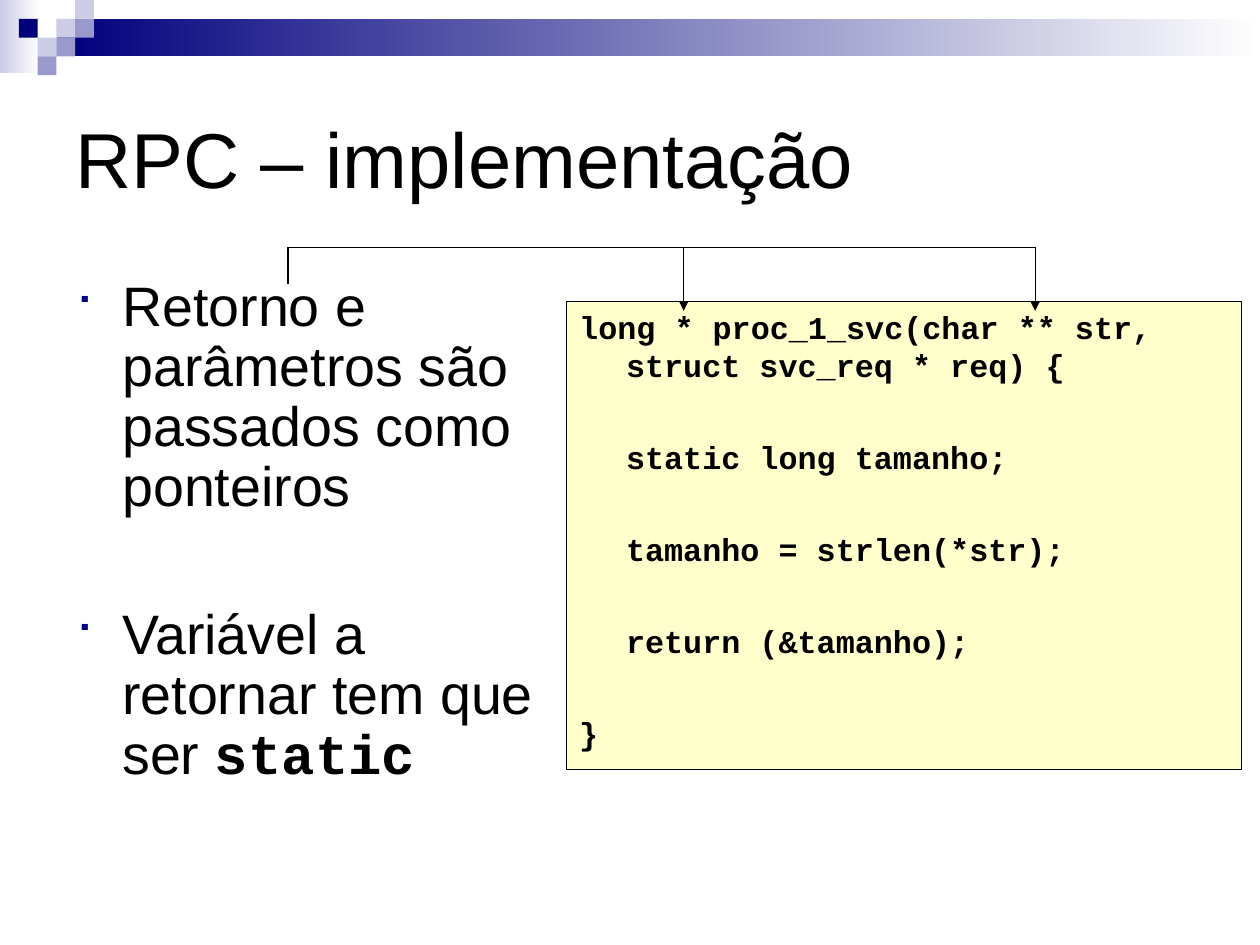
from dataclasses import dataclass
from typing import Any

from lxml.etree import SubElement
from pptx import Presentation
from pptx.dml.color import RGBColor
from pptx.enum.shapes import MSO_CONNECTOR, MSO_SHAPE
from pptx.enum.text import MSO_ANCHOR, PP_ALIGN
from pptx.oxml.ns import qn
from pptx.util import Pt

BLACK, NAVY, LILAC, VIOLET, WHITE = "000000", "00007D", "CCCCE6", "9999CC", "FFFFFF"
CELL = 11.85  # side of a corner square


@dataclass
class Span:
    text: str
    font: str = "Arial"
    bold: bool = False


@dataclass
class Para:
    spans: list[Span]
    before: float = 0
    margin: float = 0
    indent: float = 0
    bullet: bool = False


@dataclass
class Square:
    column: int
    row: int
    color: str


@dataclass
class Line:
    start: tuple[float, float]
    end: tuple[float, float]
    arrow: bool = False


def rgb(color: str) -> RGBColor:
    return RGBColor.from_string(color)


def apply(target: Any, formats: dict[str, Any]) -> None:
    for name, value in formats.items():
        setattr(target, name, value)


def add_box(page: Any, left: float, top: float, width: float, height: float) -> Any:
    box = page.shapes.add_shape(MSO_SHAPE.RECTANGLE, Pt(left), Pt(top), Pt(width), Pt(height))
    box.shadow.inherit = False
    box.line.fill.background()
    return box


def fill_solid(box: Any, color: str) -> None:
    box.fill.solid()
    box.fill.fore_color.rgb = rgb(color)


def fill_fade(box: Any, color: str) -> None:
    """Fade from the colour at the left to white at the right."""
    box.fill.gradient()
    box.fill.gradient_angle = 180
    for stop, stop_color in zip(box.fill.gradient_stops, (WHITE, color)):
        stop.color.rgb = rgb(stop_color)


def add_bullet(properties: Any) -> None:
    color = SubElement(properties, qn("a:buClr"))
    SubElement(color, qn("a:srgbClr"), val=NAVY)
    SubElement(properties, qn("a:buSzPct"), val="75000")
    SubElement(properties, qn("a:buFont"), typeface="Wingdings", charset="2")
    SubElement(properties, qn("a:buChar"), char="■")


def write(box: Any, paras: list[Para], size: float, spacing: Any,
          anchor: Any = MSO_ANCHOR.TOP, inset: float = 4.3) -> None:
    frame = box.text_frame
    apply(frame, {"word_wrap": True, "vertical_anchor": anchor,
                  "margin_left": Pt(7.9), "margin_right": Pt(7.9),
                  "margin_top": Pt(inset), "margin_bottom": Pt(4.3)})
    for index, item in enumerate(paras):
        para = frame.add_paragraph() if index else frame.paragraphs[0]
        apply(para, {"alignment": PP_ALIGN.LEFT, "line_spacing": spacing,
                     "space_before": Pt(item.before)})
        properties = para._p.get_or_add_pPr()
        properties.set("marL", str(Pt(item.margin)))
        properties.set("indent", str(Pt(item.indent)))
        if item.bullet:
            add_bullet(properties)
        for part in item.spans:
            span = para.add_run()
            span.text = part.text
            apply(span.font, {"size": Pt(size), "name": part.font, "bold": part.bold})
            span.font.color.rgb = rgb(BLACK)


def add_line(page: Any, item: Line) -> None:
    points = [Pt(value) for value in (*item.start, *item.end)]
    line = page.shapes.add_connector(MSO_CONNECTOR.STRAIGHT, *points)
    line.line.width = Pt(0.75)
    line.line.color.rgb = rgb(BLACK)
    if item.arrow:
        SubElement(line.line._get_or_add_ln(), qn("a:tailEnd"), type="triangle")
    SubElement(line._element.spPr, qn("a:effectLst"))


def main() -> None:
    deck = Presentation()
    apply(deck, {"slide_width": Pt(793.75), "slide_height": Pt(595.25)})
    page = deck.slides.add_slide(deck.slide_layouts[6])

    # Header band and corner squares
    fill_fade(add_box(page, 0, 0, 25.2, 46), LILAC)
    fill_fade(add_box(page, 36, CELL, 757.75, 23.7), NAVY)
    squares = [
        Square(3, 1, LILAC), Square(4, 0, LILAC), Square(4, 1, VIOLET),
        Square(2, 2, LILAC), Square(1, 1, NAVY), Square(3, 2, VIOLET),
        Square(2, 3, VIOLET),
    ]
    for square in squares:
        box = add_box(page, square.column * CELL, square.row * CELL, CELL, CELL)
        fill_solid(box, square.color)

    # Title
    title = page.shapes.add_textbox(Pt(39.6), Pt(39.6), Pt(714), Pt(119))
    write(title, [Para([Span("RPC – implementação")])], 49, 1.0, MSO_ANCHOR.MIDDLE)

    # Bullets
    hang = {"margin": 29.5, "indent": -29.5}
    body = page.shapes.add_textbox(Pt(39.6), Pt(172), Pt(317.5), Pt(337))
    write(body, [
        Para([Span("Retorno e parâmetros são passados como ponteiros")], bullet=True, **hang),
        Para([Span("Variável a retornar tem que ser "), Span("static", "Courier New", True)],
             before=55.4, bullet=True, **hang),
    ], 35, Pt(37.8), inset=3)

    # Code panel
    panel = add_box(page, 357, 190, 425.25, 294.5)
    fill_solid(panel, "FFFFCC")
    panel.line.color.rgb = rgb(BLACK)
    panel.line.width = Pt(0.75)
    opening = "long * proc_1_svc(char ** str, struct svc_req * req) {"
    statements = ["static long tamanho;", "tamanho = strlen(*str);", "return (&tamanho);"]
    gap = 34
    code = [Para([Span(opening, "Courier New", True)], **hang)]
    code += [Para([Span(text, "Courier New", True)], gap, 29.5) for text in statements]
    code.append(Para([Span("}", "Courier New", True)], gap))
    write(panel, code, 20, Pt(24), inset=3.6)

    # Bracket from the first bullet to the two pointers
    left, middle, right = 181.4, 430.7, 652.1
    top, tip = 155.7, 195.8
    for line in (
        Line((left, 178.6), (left, top)),
        Line((left, top), (right, top)),
        Line((right, top), (right, tip), arrow=True),
        Line((middle, top), (middle, tip), arrow=True),
    ):
        add_line(page, line)

    deck.save("out.pptx")


if __name__ == "__main__":
    main()
